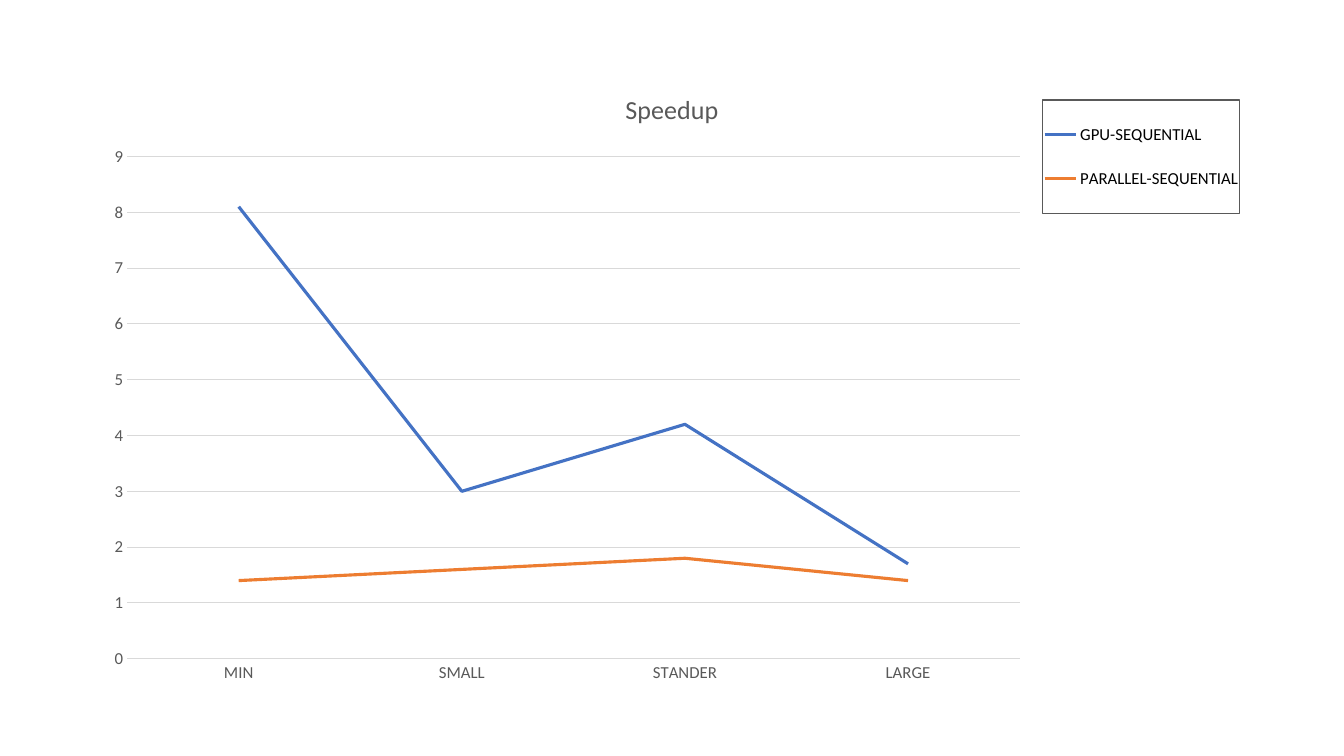
from lxml import etree
from pptx import Presentation
from pptx.chart import data
from pptx.dml import color
from pptx.enum import chart as kinds
from pptx.oxml import ns, parse_xml
from pptx.util import Pt


def rgb(value):
    return color.RGBColor.from_string(value)


def manual_layout(left, top, width, height, inner=False):
    layout = etree.Element(ns.qn("c:layout"))
    manual = etree.SubElement(layout, ns.qn("c:manualLayout"))
    settings = [("layoutTarget", "inner")] if inner else []
    settings += [("xMode", "edge"), ("yMode", "edge")]
    settings += [("x", left), ("y", top), ("w", width), ("h", height)]
    for name, value in settings:
        etree.SubElement(manual, ns.qn("c:" + name), val=str(value))
    return layout


class SpeedupSlide:
    font_name = "Calibri"
    grey = "595959"
    pale = "D9D9D9"
    black = "000000"

    def __init__(self, deck):
        self.page = deck.slides.add_slide(deck.slide_layouts[6])

    def style_font(self, font, size, value):
        font.name = self.font_name
        font.size = Pt(size)
        font.bold = False
        font.color.rgb = rgb(value)

    def style_line(self, line, width, value):
        line.width = Pt(width)
        line.color.rgb = rgb(value)

    def style_axis(self, axis):
        axis.major_tick_mark = kinds.XL_TICK_MARK.NONE
        axis.minor_tick_mark = kinds.XL_TICK_MARK.NONE
        self.style_font(axis.tick_labels.font, 12, self.grey)

    def line_chart(self, left, top, width, height, categories, series):
        chart_data = data.CategoryChartData()
        chart_data.categories = categories
        for name, values, _ in series:
            chart_data.add_series(name, values)
        chart = self.page.shapes.add_chart(
            kinds.XL_CHART_TYPE.LINE, Pt(left), Pt(top), Pt(width), Pt(height), chart_data
        ).chart
        self.style_font(chart.font, 10, self.black)
        chart.plots[0].vary_by_categories = False
        for line, (_, _, value) in zip(chart.plots[0].series, series):
            line.smooth = False
            line.marker.style = kinds.XL_MARKER_STYLE.NONE
            self.style_line(line.format.line, 2.25, value)
        self.style_axis(chart.category_axis)
        self.style_line(chart.category_axis.format.line, 0.75, self.pale)
        value_axis = chart.value_axis
        self.style_axis(value_axis)
        value_axis.format.line.fill.background()
        value_axis.minimum_scale, value_axis.maximum_scale = 0, 9
        value_axis.major_unit = 1
        self.style_line(value_axis.major_gridlines.format.line, 0.75, self.pale)
        return chart

    def title(self, chart, wording):
        chart.has_title = True
        frame = chart.chart_title.text_frame
        frame.text = wording
        self.style_font(frame.paragraphs[0].runs[0].font, 18.6, self.grey)
        chart.chart_title.include_in_layout = False

    def plot_area(self, chart, *place):
        area = chart.element.find(".//" + ns.qn("c:plotArea"))
        for layout in area.findall(ns.qn("c:layout")):
            area.remove(layout)
        area.insert(0, manual_layout(*place, inner=True))

    def legend(self, chart, *place):
        chart.has_legend = True
        legend = chart.legend
        legend.position = kinds.XL_LEGEND_POSITION.CORNER
        legend.include_in_layout = False
        self.style_font(legend.font, 12, self.black)
        root = chart.element.find(".//" + ns.qn("c:legend"))
        for layout in root.findall(ns.qn("c:layout")):
            root.remove(layout)
        root.find(ns.qn("c:legendPos")).addnext(manual_layout(*place))
        border = parse_xml(
            f'<c:spPr {ns.nsdecls("c", "a")}><a:noFill/><a:ln w="{Pt(0.75)}"><a:solidFill>'
            f'<a:srgbClr val="{self.grey}"/></a:solidFill></a:ln></c:spPr>'
        )
        root.find(ns.qn("c:txPr")).addprevious(border)


deck = Presentation()
deck.slide_width, deck.slide_height = Pt(960), Pt(540)
slide = SpeedupSlide(deck)
speedup = slide.line_chart(
    66, 49, 828, 448.5,
    ["MIN", "SMALL", "STANDER", "LARGE"],
    [
        ("GPU-SEQUENTIAL", [8.1, 3, 4.2, 1.7], "4472C4"),
        ("PARALLEL-SEQUENTIAL", [1.4, 1.6, 1.8, 1.4], "ED7D31"),
    ],
)
slide.title(speedup, "Speedup")
slide.plot_area(speedup, 0.03, 0.14, 0.77, 0.8)
slide.legend(speedup, 0.82, 0.05, 0.17, 0.18)
deck.save("out.pptx")
